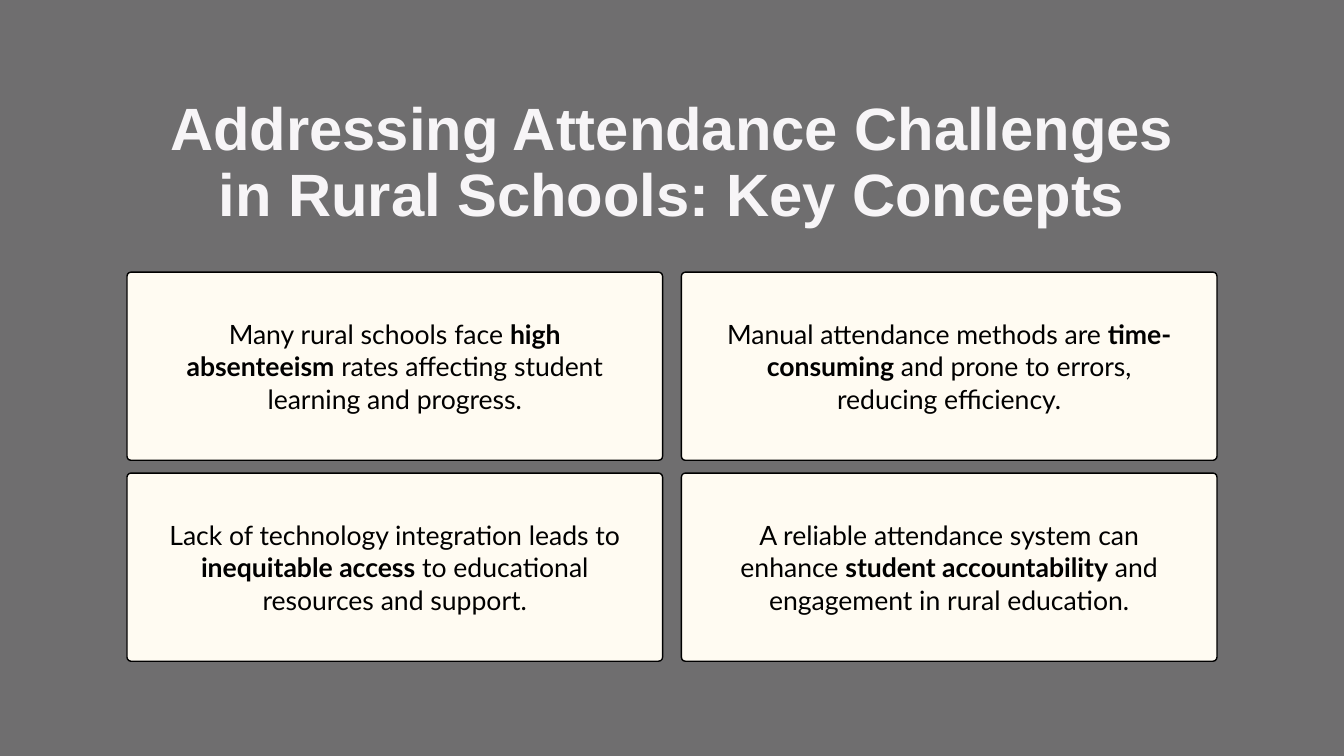
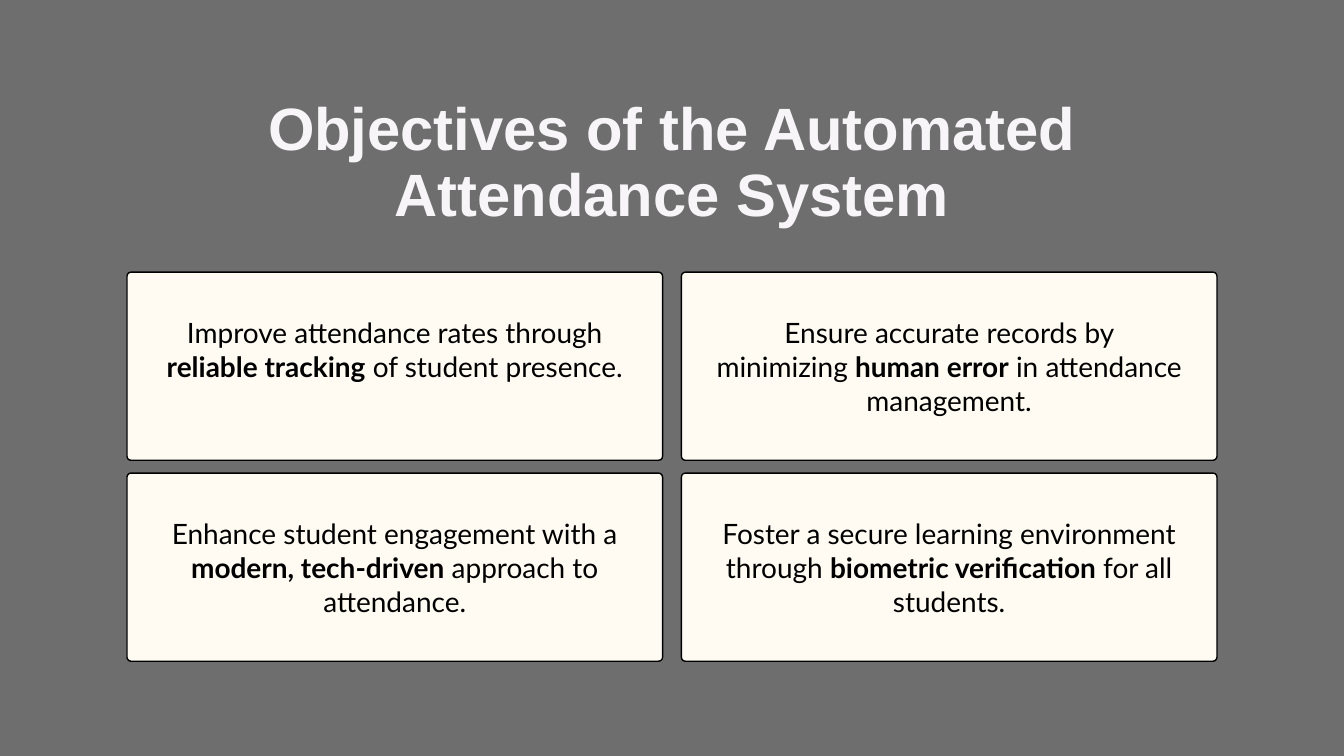
import pptx
import pptx.dml.color
import pptx.enum.shapes
import pptx.enum.text
import pptx.util

COLORS = {
    "background": "6F6E6F",
    "title": "F7F5F7",
    "card": "FFFBF2",
    "ink": "000000",
}
FONTS = {"title": "Arial", "card": "Lato"}

# Slide grid: one unit is one column wide and one row high
COLUMNS, ROWS = 20, 11.25
UNIT = pptx.util.Inches(1)

# Two-by-two card grid, in units
CARD_LEFT, CARD_TOP = 1.89, 4.05
CARD_WIDTH, CARD_HEIGHT = 7.97, 2.8
GAP_X, GAP_Y = 0.28, 0.19
CARD_PADDING, CORNER = 0.5, 0.06
CARD_LINES = 3

# Heading, card text size, then the cards row by row as (before, bold, after)
SLIDES = [
    ("Addressing Attendance Challenges in Rural Schools: Key Concepts", 28.5, [
        ("Many rural schools face ", "high absenteeism",
         " rates affecting student learning and progress."),
        ("Manual attendance methods are ", "time-consuming",
         " and prone to errors, reducing efficiency."),
        ("Lack of technology integration leads to ", "inequitable access",
         " to educational resources and support."),
        ("A reliable attendance system can enhance ", "student accountability",
         " and engagement in rural education."),
    ]),
    ("Objectives of the Automated Attendance System", 30, [
        ("Improve attendance rates through ", "reliable tracking",
         " of student presence."),
        ("Ensure accurate records by minimizing ", "human error",
         " in attendance management."),
        ("Enhance student engagement with a ", "modern, tech-driven",
         " approach to attendance."),
        ("Foster a secure learning environment through ",
         "biometric verification", " for all students."),
    ]),
]


def units(count):
    return pptx.util.Emu(round(count * UNIT))


def color(name):
    return pptx.dml.color.RGBColor.from_string(COLORS[name])


class Deck:
    """Holds the shared style and the current slide."""

    def __init__(self):
        self.presentation = pptx.Presentation()
        self.presentation.slide_width = units(COLUMNS)
        self.presentation.slide_height = units(ROWS)
        backdrop = self.presentation.slide_master.background.fill
        backdrop.solid()
        backdrop.fore_color.rgb = color("background")
        self.slide = None

    def add_slide(self):
        title_only = self.presentation.slide_layouts[5]
        self.slide = self.presentation.slides.add_slide(title_only)

    def frame(self, shape, side=0, top=0):
        text_frame = shape.text_frame
        text_frame.word_wrap = True
        text_frame.auto_size = pptx.enum.text.MSO_AUTO_SIZE.NONE
        text_frame.vertical_anchor = pptx.enum.text.MSO_ANCHOR.TOP
        text_frame.margin_left = text_frame.margin_right = units(side)
        text_frame.margin_top, text_frame.margin_bottom = units(top), 0
        return text_frame

    def style(self, paragraph, font, size, leading, ink):
        paragraph.alignment = pptx.enum.text.PP_ALIGN.CENTER
        paragraph.line_spacing = pptx.util.Pt(size * leading)
        for run in paragraph.runs:
            run.font.name = FONTS[font]
            run.font.size = pptx.util.Pt(size)
            run.font.color.rgb = color(ink)

    def title(self, heading):
        title = self.slide.shapes.title
        title.left, title.top = units(2.32), units(1.44)
        title.width, title.height = units(15.35), units(1.96)
        text_frame = self.frame(title)
        text_frame.text = heading
        paragraph = text_frame.paragraphs[0]
        self.style(paragraph, "title", 64, 1.1, "title")
        paragraph.runs[0].font.bold = True

    def card(self, column, row, phrases, size):
        card = self.slide.shapes.add_shape(
            pptx.enum.shapes.MSO_SHAPE.ROUNDED_RECTANGLE,
            units(CARD_LEFT + column * (CARD_WIDTH + GAP_X)),
            units(CARD_TOP + row * (CARD_HEIGHT + GAP_Y)),
            units(CARD_WIDTH), units(CARD_HEIGHT))
        card.adjustments[0] = CORNER / CARD_HEIGHT
        card.shadow.inherit = False
        card.fill.solid()
        card.fill.fore_color.rgb = color("card")
        card.line.color.rgb = color("ink")
        card.line.width = pptx.util.Pt(1.5)

        # Room for three lines, centred in the card, filled from the top
        leading = 1.22
        block = CARD_LINES * size * leading / 72
        top = (CARD_HEIGHT - block) / 2 - 0.02
        paragraph = self.frame(card, CARD_PADDING, top).paragraphs[0]
        for position, phrase in enumerate(phrases):
            run = paragraph.add_run()
            run.text = phrase
            run.font.bold = position == 1
        self.style(paragraph, "card", size, leading, "ink")


def main():
    deck = Deck()
    for heading, size, cards in SLIDES:
        deck.add_slide()
        deck.title(heading)
        for index, phrases in enumerate(cards):
            row, column = divmod(index, 2)
            deck.card(column, row, phrases, size)
    deck.presentation.save("out.pptx")


if __name__ == "__main__":
    main()
